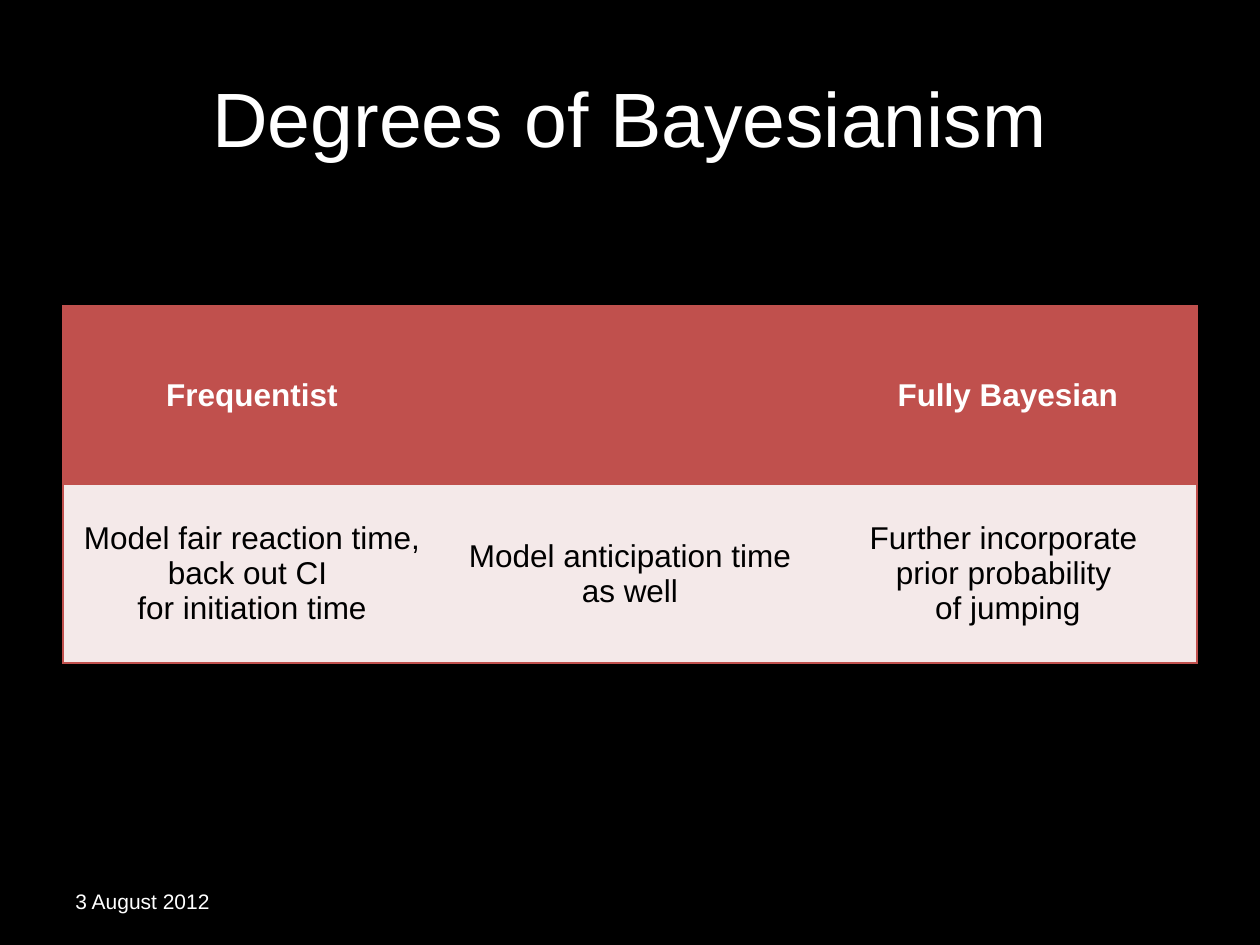
from lxml import etree
from pptx import Presentation
from pptx.dml.color import RGBColor
from pptx.enum.text import MSO_ANCHOR, PP_ALIGN
from pptx.oxml.ns import qn
from pptx.util import Pt

PX = 914400 // 126
MIDDLE = MSO_ANCHOR.MIDDLE
CENTER, LEFT = PP_ALIGN.CENTER, PP_ALIGN.LEFT
RED, PINK, WHITE, BLACK = "C0504D", "F4E9E9", "FFFFFF", "000000"


def write(frame, text, size=18, color=WHITE, bold=False, align=CENTER):
    frame.word_wrap = True
    frame.vertical_anchor = MIDDLE
    for index, line in enumerate(text.split("\n")):
        paragraph = frame.paragraphs[0] if index == 0 else frame.add_paragraph()
        paragraph.alignment = align
        if not line:
            continue
        run = paragraph.add_run()
        run.text = line
        run.font.name = "Arial"
        run.font.size = Pt(size)
        run.font.bold = bold
        run.font.color.rgb = RGBColor.from_string(color)


def add_border(cell, side, color):
    line = etree.SubElement(cell._tc.get_or_add_tcPr(), qn(f"a:ln{side}"), w=str(Pt(1)))
    if color:
        fill = etree.SubElement(line, qn("a:solidFill"))
        etree.SubElement(fill, qn("a:srgbClr"), val=color)
    else:
        etree.SubElement(line, qn("a:noFill"))


deck = Presentation()
deck.slide_width, deck.slide_height = 1260 * PX, 945 * PX
slide = deck.slides.add_slide(deck.slide_layouts[5])
slide.background.fill.solid()
slide.background.fill.fore_color.rgb = RGBColor.from_string(BLACK)

title = slide.shapes.title
title.left, title.top, title.width, title.height = 63 * PX, 38 * PX, 1134 * PX, 158 * PX
write(title.text_frame, "Degrees of Bayesianism", size=44)

approaches = [
    ["Frequentist", "", "Fully Bayesian"],
    [
        "Model fair reaction time, back out CI \nfor initiation time",
        "Model anticipation time as well",
        "Further incorporate \nprior probability \nof jumping",
    ],
]
row_styles = [(RED, WHITE, True), (PINK, BLACK, False)]

degrees = slide.shapes.add_table(2, 3, 63 * PX, 306 * PX, 1134 * PX, 357 * PX).table
last = len(degrees.columns) - 1
for r, (texts, (fill, color, bold)) in enumerate(zip(approaches, row_styles)):
    for c, text in enumerate(texts):
        cell = degrees.cell(r, c)
        write(cell.text_frame, text, color=color, bold=bold)
        cell.vertical_anchor = MIDDLE
        add_border(cell, "L", RED if c == 0 else None)
        add_border(cell, "R", RED if c == last else None)
        add_border(cell, "T", RED)
        add_border(cell, "B", RED)
        cell.fill.solid()
        cell.fill.fore_color.rgb = RGBColor.from_string(fill)

date = slide.shapes.add_textbox(63 * PX, 876 * PX, 294 * PX, 50 * PX)
write(date.text_frame, "3 August 2012", size=12, align=LEFT)

deck.save("out.pptx")
